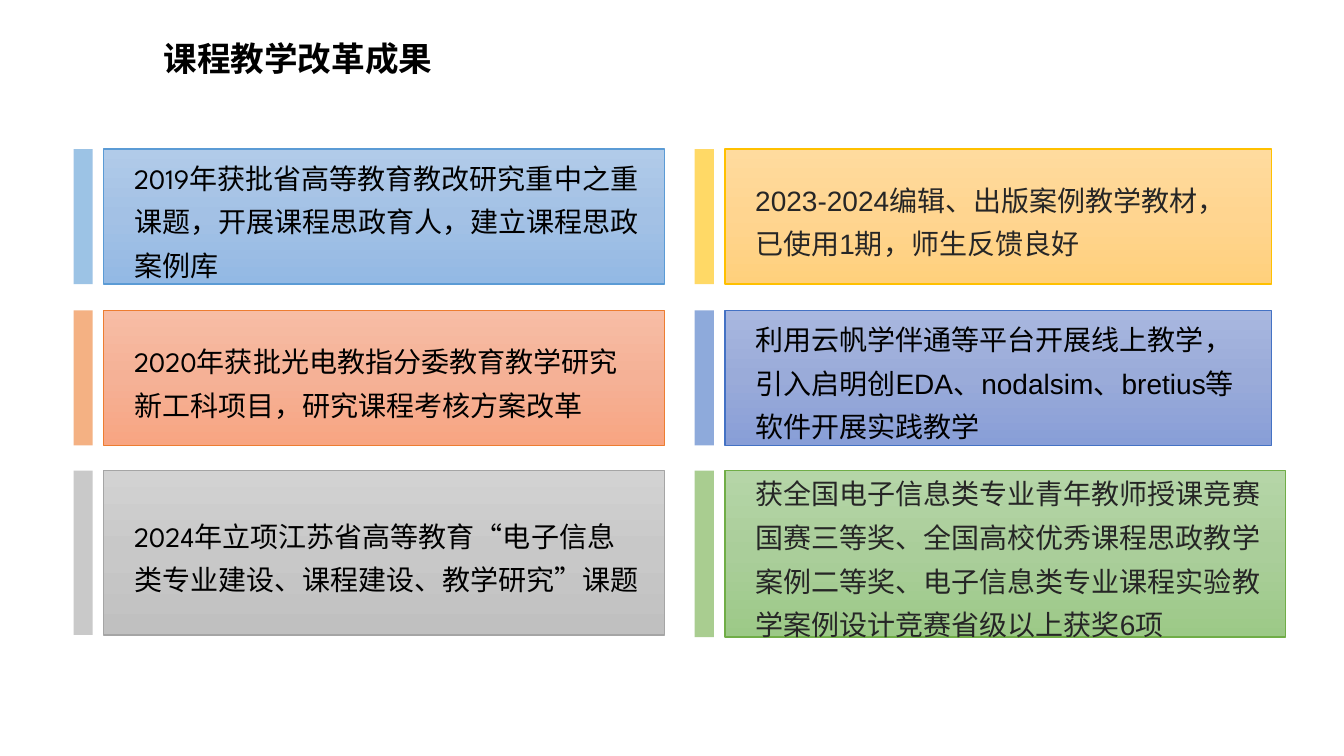
from copy import deepcopy
from dataclasses import dataclass

from lxml import etree
from pptx import Presentation
from pptx import util as u
from pptx.dml.color import RGBColor
from pptx.enum import shapes, text
from pptx.oxml.ns import qn

PX = 9144  # EMU per px, 100 px to the inch


@dataclass(frozen=True)
class Theme:
    black: str = "000000"
    dark: str = "262626"
    latin_left: str = "League Spartan"
    latin_right: str = "Arial"
    chinese: str = "Noto Sans CJK SC"
    title_size: int = 24
    body_size: int = 20
    line_spacing: float = 1.3
    bar_opacity: int = 60


@dataclass(frozen=True)
class Column:
    left: int
    font: str


@dataclass(frozen=True)
class Card:
    column: Column
    row: int
    width: int
    height: int
    accent: str
    gradient: tuple[str, str, str]
    wording: str
    ink: str


THEME = Theme()
LEFT = Column(103, THEME.latin_left)
RIGHT = Column(719, THEME.latin_right)
ROW_TOPS = (148, 308, 467)
BAR_OFFSET, BAR_WIDTH = 30, 19

CARDS = (
    Card(LEFT, 0, 556, 134, "5B9BD5", ("B1CBE9", "A3C1E5", "93B9E4"),
         "2019年获批省高等教育教改研究重中之重课题，开展课程思政育人，建立课程思政案例库", THEME.black),
    Card(LEFT, 1, 556, 134, "ED7D31", ("F7BDA5", "F5B196", "F8A582"),
         "2020年获批光电教指分委教育教学研究 新工科项目，研究课程考核方案改革", THEME.black),
    Card(LEFT, 2, 556, 163, "A5A5A5", ("D2D2D2", "C8C8C8", "C0C0C0"),
         "2024年立项江苏省高等教育“电子信息类专业建设、课程建设、教学研究”课题", THEME.black),
    Card(RIGHT, 0, 542, 134, "FFC000", ("FFDB9E", "FFD590", "FFD07C"),
         "2023-2024编辑、出版案例教学教材，已使用1期，师生反馈良好", THEME.dark),
    Card(RIGHT, 1, 542, 134, "4472C4", ("A8B7DF", "9AABD9", "889ED7"),
         "利用云帆学伴通等平台开展线上教学，引入启明创EDA、nodalsim、bretius等软件开展实践教学",
         THEME.black),
    Card(RIGHT, 2, 556, 165, "70AD47", ("B5D5A7", "AACE9A", "9CC987"),
         "获全国电子信息类专业青年教师授课竞赛国赛三等奖、全国高校优秀课程思政教学案例二等奖、"
         "电子信息类专业课程实验教学案例设计竞赛省级以上获奖6项", THEME.dark),
)


def px(*lengths: int) -> list[u.Emu]:
    return [u.Emu(length * PX) for length in lengths]


def apply(target, values: dict) -> None:
    for name, value in values.items():
        setattr(target, name, value)


def write(frame, wording: str, font: str, size: int, colour: str, bold: bool, layout: dict) -> None:
    paragraph = frame.paragraphs[0]
    apply(paragraph, layout)
    run = paragraph.add_run()
    run.text = wording
    apply(run.font, {"name": font, "size": u.Pt(size), "bold": bold})
    run.font.color.rgb = RGBColor.from_string(colour)
    latin = run.font._element.find(qn("a:latin"))
    east_asian = etree.Element(qn("a:ea"), typeface=THEME.chinese)
    latin.addnext(east_asian)


def add_rectangle(slide, left: int, top: int, width: int, height: int):
    shape = slide.shapes.add_shape(shapes.MSO_SHAPE.RECTANGLE, *px(left, top, width, height))
    shape.shadow.inherit = False
    return shape


def fill_gradient(shape, colours: tuple[str, str, str]) -> None:
    shape.fill.gradient()
    shape.fill.gradient_angle = 270
    stop_list = shape._element.spPr.find(".//" + qn("a:gsLst"))
    stop_list.append(deepcopy(stop_list[0]))
    for index, (stop, colour) in enumerate(zip(shape.fill.gradient_stops, colours)):
        stop.position = index / 2
        stop.color.rgb = RGBColor.from_string(colour)


def add_title(slide, wording: str) -> None:
    frame = slide.shapes.add_textbox(*px(43, 33, 505, 62)).text_frame
    frame.word_wrap = True
    write(frame, wording, THEME.chinese, THEME.title_size, THEME.black, True,
          {"alignment": text.PP_ALIGN.CENTER})


def add_card(slide, card: Card) -> None:
    accent = RGBColor.from_string(card.accent)
    top = ROW_TOPS[card.row]

    # Text box with gradient
    box = add_rectangle(slide, card.column.left, top, card.width, card.height)
    fill_gradient(box, card.gradient)
    box.line.color.rgb = accent
    box.line.width = u.Pt(1)
    sides = ("margin_left", "margin_top", "margin_right", "margin_bottom")
    apply(box.text_frame, {
        "word_wrap": True,
        "vertical_anchor": text.MSO_ANCHOR.MIDDLE,
        **dict(zip(sides, px(30, 17, 22, 17))),
    })
    write(box.text_frame, card.wording, card.column.font, THEME.body_size, card.ink, False,
          {"alignment": text.PP_ALIGN.LEFT, "line_spacing": THEME.line_spacing})

    # Translucent side bar
    bar = add_rectangle(slide, card.column.left - BAR_OFFSET, top, BAR_WIDTH, card.height)
    bar.fill.solid()
    bar.fill.fore_color.rgb = accent
    bar.line.fill.background()
    colour = bar._element.spPr.find(qn("a:solidFill")).find(qn("a:srgbClr"))
    etree.SubElement(colour, qn("a:alpha"), val=str(THEME.bar_opacity * 1000))


def main() -> None:
    presentation = Presentation()
    presentation.slide_width, presentation.slide_height = px(1333, 750)
    slide = presentation.slides.add_slide(presentation.slide_layouts[6])
    add_title(slide, "课程教学改革成果")
    for card in CARDS:
        add_card(slide, card)
    presentation.save("out.pptx")


if __name__ == "__main__":
    main()
